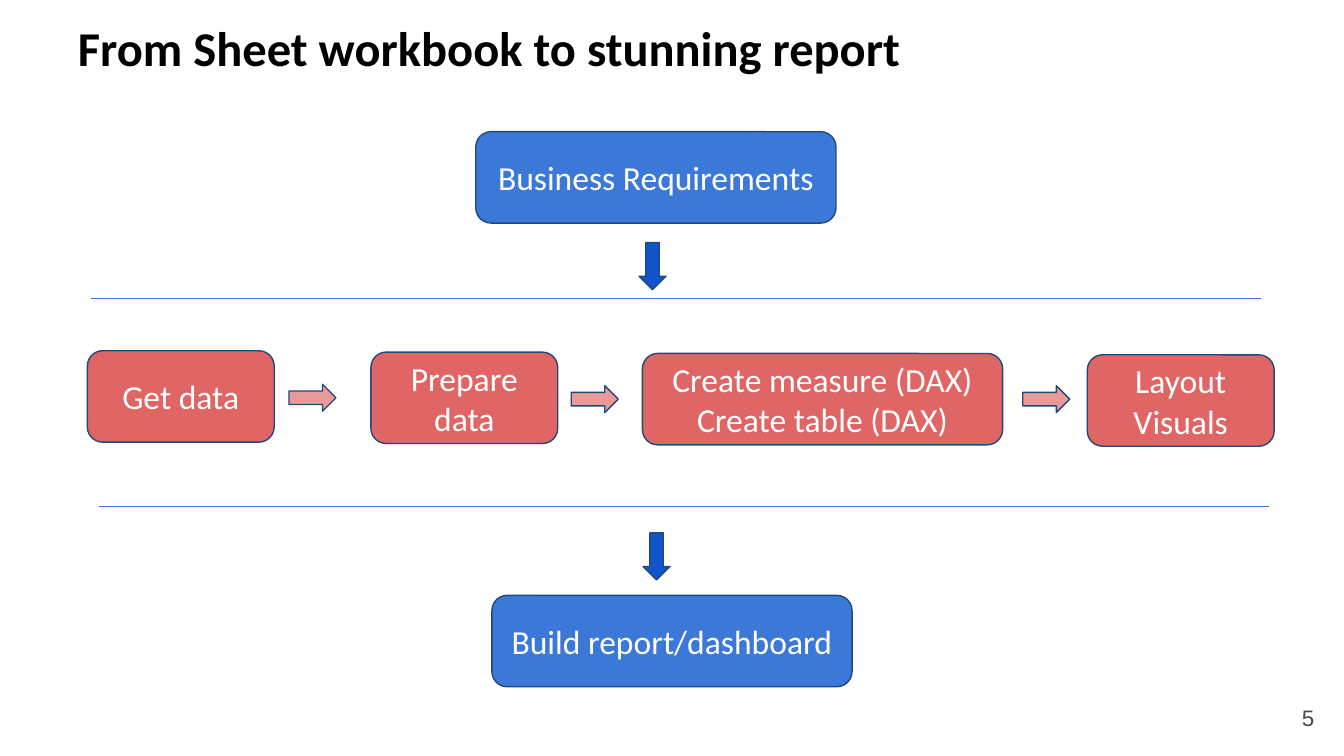
from lxml import etree
from pptx import Presentation
from pptx.dml.color import RGBColor
from pptx.enum.shapes import MSO_CONNECTOR, MSO_SHAPE
from pptx.enum.text import MSO_ANCHOR, MSO_AUTO_SIZE, PP_ALIGN
from pptx.oxml.ns import qn
from pptx.util import Inches, Pt

ROUNDED = MSO_SHAPE.ROUNDED_RECTANGLE
ARROW = MSO_SHAPE.RIGHT_ARROW
STRAIGHT = MSO_CONNECTOR.STRAIGHT
LEFT, CENTER, RIGHT = PP_ALIGN.LEFT, PP_ALIGN.CENTER, PP_ALIGN.RIGHT
TOP, MIDDLE = MSO_ANCHOR.TOP, MSO_ANCHOR.MIDDLE
NO_FIT = MSO_AUTO_SIZE.NONE

COLORS = {
    "title": "000000",
    "label": "FFFFFF",
    "number": "4B4B4D",
    "step": "E06666",
    "step_arrow": "EA9999",
    "stage": "3C78D8",
    "stage_arrow": "1155CC",
    "outline": "1F497D",
}
SLIDE_WIDTH = 10
SLIDE_HEIGHT = SLIDE_WIDTH * 9 / 16
NARROW, WIDE, BOX_HEIGHT = 1.39, 2.68, 0.68
ARROW_WIDTH, ARROW_HEIGHT = 0.35, 0.2

STEPS = [
    (0.65, 2.61, NARROW, ["Get data"]),
    (2.76, 2.62, NARROW, ["Prepare data"]),
    (4.78, 2.63, WIDE, ["Create measure (DAX)", "Create table (DAX)"]),
    (8.09, 2.64, NARROW, ["Layout", "Visuals"]),
]
STEP_ARROWS = [(2.15, 2.86), (4.25, 2.87), (7.61, 2.87)]
STAGES = [
    (3.54, 0.98, "Business Requirements"),
    (3.66, 4.43, "Build report/dashboard"),
]
STAGE_ARROWS = [(4.68, 1.88), (4.71, 4.04)]
DIVIDERS = [(0.68, 2.22), (0.74, 3.77)]
DIVIDER_LENGTH = 8.7


def color(name):
    return RGBColor.from_string(COLORS[name])


def place(shape, left, top, width, height):
    shape.left, shape.top = Inches(left), Inches(top)
    shape.width, shape.height = Inches(width), Inches(height)


def write(shape, lines, size, tone, align, anchor, inset=0, font="Calibri", bold=False):
    frame = shape.text_frame
    frame.word_wrap = True
    frame.auto_size = NO_FIT
    frame.vertical_anchor = anchor
    frame.margin_left = frame.margin_right = Inches(inset)
    frame.margin_top = frame.margin_bottom = Inches(inset)
    for index, line in enumerate(lines):
        para = frame.add_paragraph() if index else frame.paragraphs[0]
        para.alignment = align
        span = para.add_run()
        span.text = line
        span.font.name = font
        span.font.size = Pt(size)
        span.font.bold = bold
        span.font.color.rgb = color(tone)


def add_title(page, text):
    title = page.shapes.title
    place(title, 0.58, 0.22, 7.83, 0.35)
    write(title, [text], 26, "title", LEFT, TOP, bold=True)
    title.text_frame.paragraphs[0].line_spacing = 0.8


def add_page_number(page, number):
    box = page.shapes.add_textbox(Inches(9.43), Inches(5.24), Inches(0.35), Inches(0.2))
    write(box, [number], 12, "number", RIGHT, TOP, font="Arial")


def add_filled(page, kind, left, top, width, height, fill):
    shape = page.shapes.add_shape(
        kind, Inches(left), Inches(top), Inches(width), Inches(height)
    )
    shape.shadow.inherit = False
    shape.fill.solid()
    shape.fill.fore_color.rgb = color(fill)
    shape.line.color.rgb = color("outline")
    shape.line.width = Pt(0.75)
    return shape


def add_box(page, left, top, width, lines, fill):
    box = add_filled(page, ROUNDED, left, top, width, BOX_HEIGHT, fill)
    write(box, lines, 18, "label", CENTER, MIDDLE, inset=0.1)


def add_arrow(page, left, top, fill, rotation=0):
    arrow = add_filled(page, ARROW, left, top, ARROW_WIDTH, ARROW_HEIGHT, fill)
    arrow.rotation = rotation


def add_divider(page, left, top):
    divider = page.shapes.add_connector(
        STRAIGHT, Inches(left), Inches(top), Inches(left + DIVIDER_LENGTH), Inches(top)
    )
    divider.line.color.rgb = color("stage")
    divider.line.width = Pt(0.75)
    etree.SubElement(divider._element.spPr, qn("a:effectLst"))


def main():
    deck = Presentation()
    deck.slide_width, deck.slide_height = Inches(SLIDE_WIDTH), Inches(SLIDE_HEIGHT)
    page = deck.slides.add_slide(deck.slide_layouts[5])

    add_title(page, "From Sheet workbook to stunning report")
    add_page_number(page, "5")
    for left, top, width, lines in STEPS:
        add_box(page, left, top, width, lines, "step")
    for left, top in STEP_ARROWS:
        add_arrow(page, left, top, "step_arrow")
    for left, top in DIVIDERS:
        add_divider(page, left, top)
    for left, top, label in STAGES:
        add_box(page, left, top, WIDE, [label], "stage")
    for left, top in STAGE_ARROWS:
        add_arrow(page, left, top, "stage_arrow", rotation=90)

    deck.save("out.pptx")


if __name__ == "__main__":
    main()
